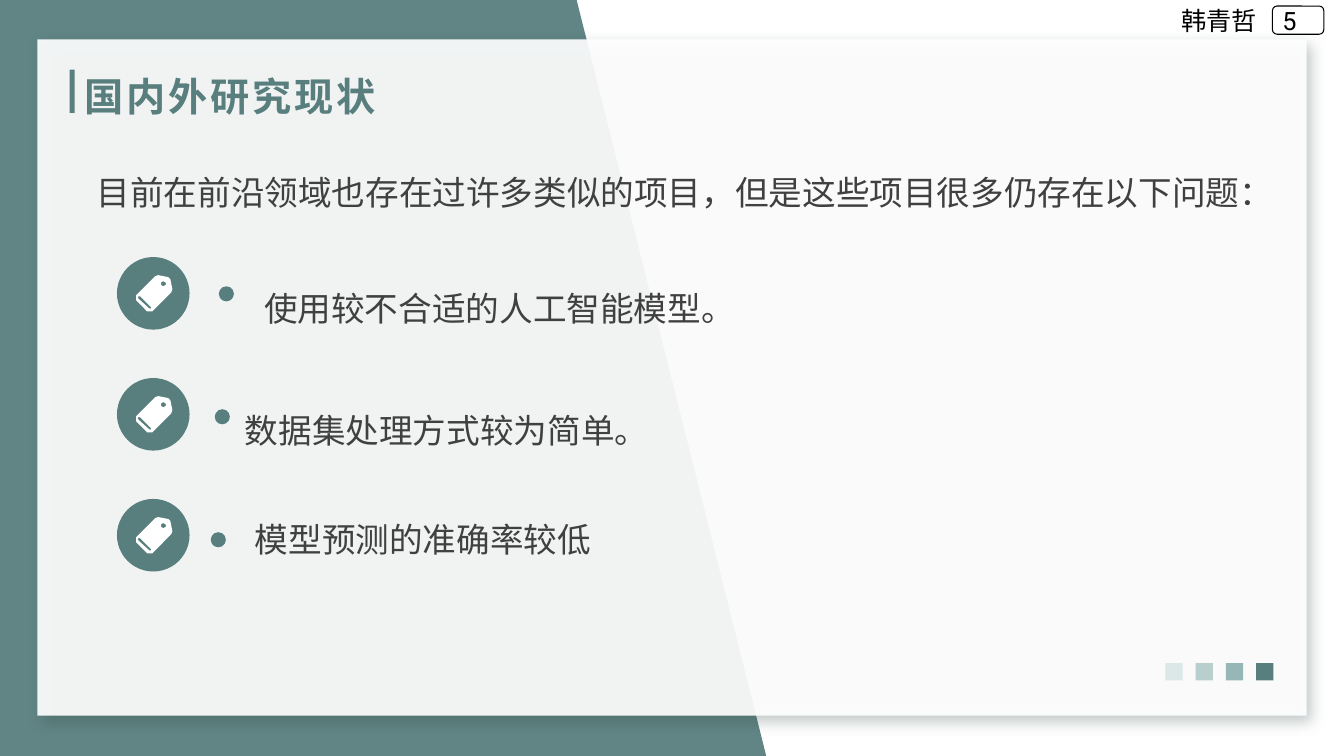
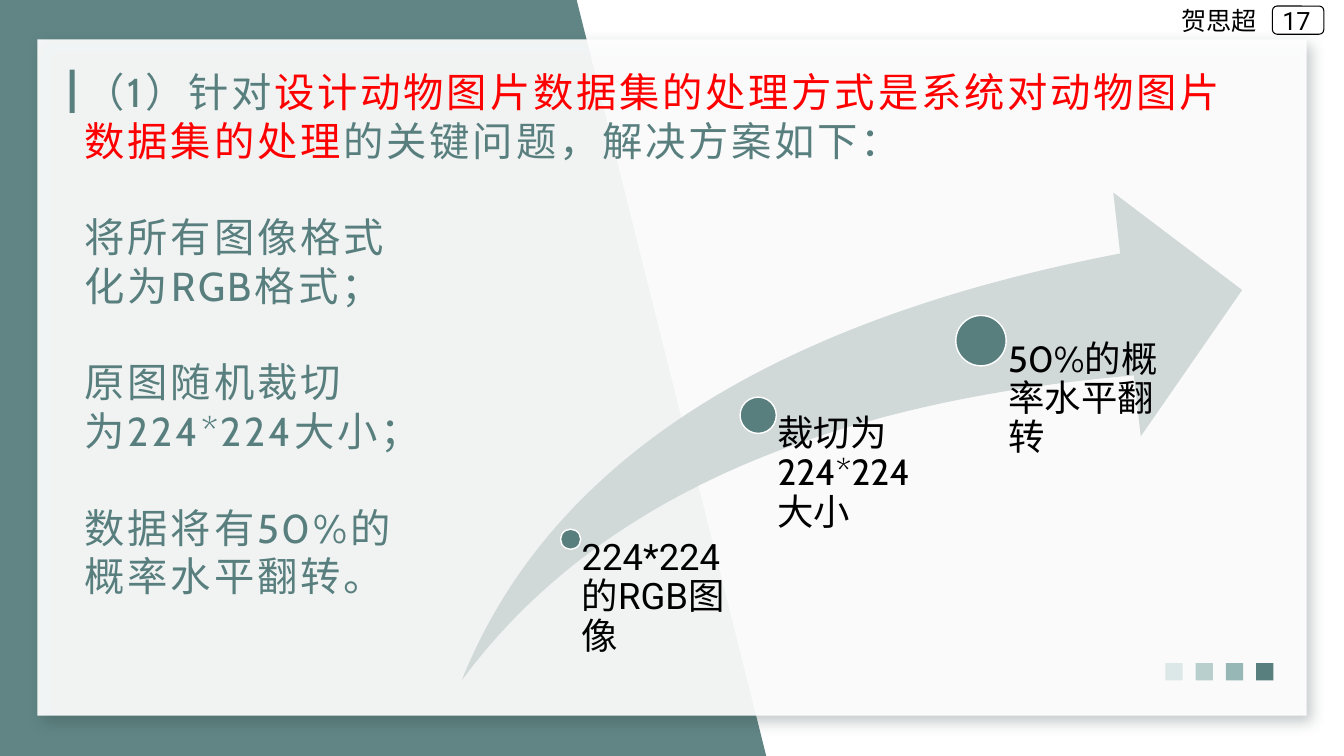
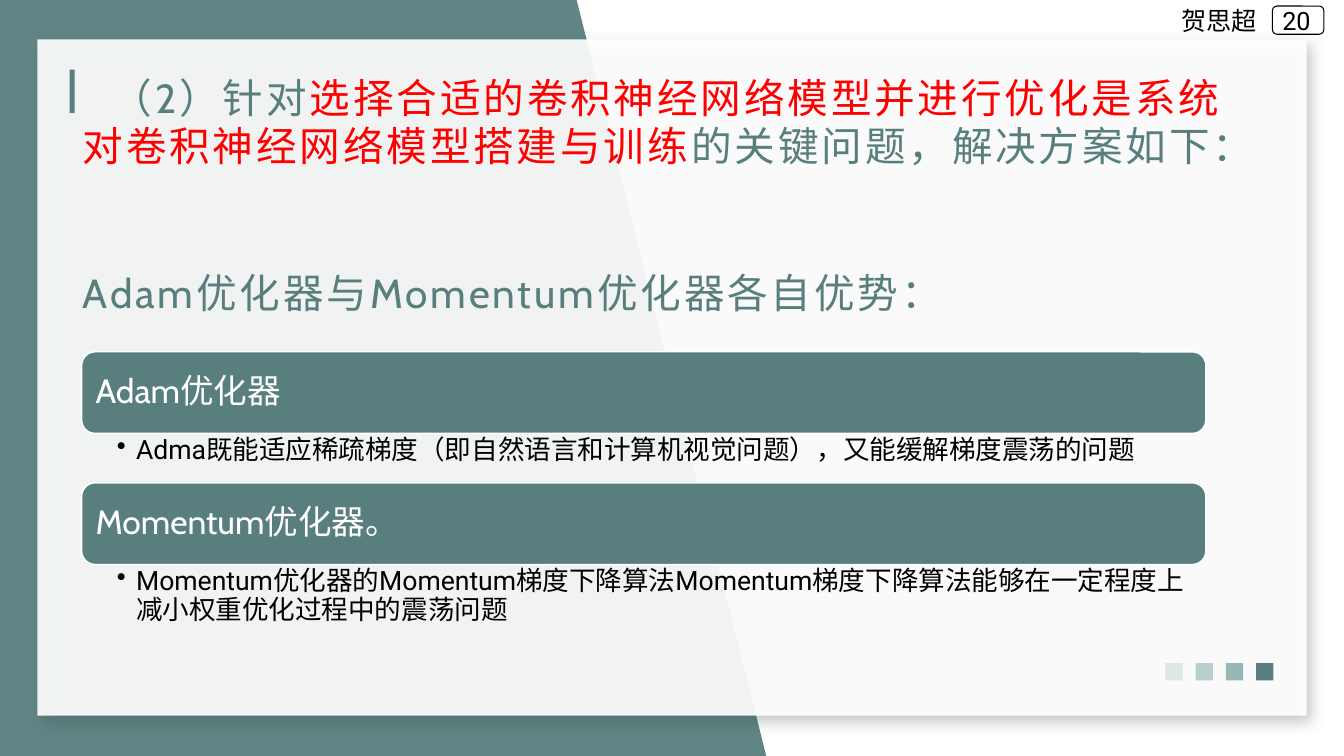
from lxml import etree
from pptx import Presentation
from pptx.dml.color import RGBColor
from pptx.enum.shapes import MSO_SHAPE
from pptx.enum.text import MSO_ANCHOR, MSO_AUTO_SIZE, PP_ALIGN
from pptx.oxml.ns import qn
from pptx.util import Inches, Pt

WIDE, HIGH = 13.33, 7.5
HUES = {
    "teal": "587F7E", "sage": "96B7B6", "mist": "B9CFCE", "pale": "DCE7E7",
    "arrow": "D1D8D8", "shade": "2C403F", "white": "FFFFFF", "black": "000000",
    "red": "FF0000", "ink": "404040",
}
INSET = (0.1, 0.05, 0.1, 0.05)
HEAD = {"name": "Cabin", "size": 28.8, "hue": "teal", "spc": 2}
BODY = {"name": "Lato", "size": 24, "hue": "ink"}
LABEL = {"name": "Roboto", "size": 18, "hue": "black"}
STEP = {"name": "Cabin", "size": 26, "hue": "black"}
BAND = {"name": "Cabin", "size": 24, "hue": "white"}
NOTE = {"name": "Roboto", "size": 19, "hue": "black"}

LEAD = "目前在前沿领域也存在过许多类似的项目，但是这些项目很多仍存在以下问题："
ISSUES = [  # text, box, format
    ("使用较不合适的人工智能模型。", (2.62, 2.74, 9.83, 0.48), {"inset": (0,) * 4, "lead": 1.3}),
    ("数据集处理方式较为简单。", (2.43, 3.95, 9.83, 0.48), {"inset": (0,) * 4, "lead": 1.3}),
    ("模型预测的准确率较低", (2.43, 5.1, 4.23, 0.5), {}),
]
STEPS = [  # text, dot centre, dot size, text width, left inset, font
    ("224*224的RGB图像", (5.66, 5.35), 0.2, 1.8, 0.11, "Roboto"),
    ("裁切为224*224大小", (7.52, 4.12), 0.36, 1.86, 0.19, "Cabin"),
    ("50%的概率水平翻转", (9.73, 3.38), 0.5, 1.86, 0.27, "Cabin"),
]
TOOLS = [
    ("Adam优化器", "Adma既能适应稀疏梯度（即自然语言和计算机视觉问题），又能缓解梯度震荡的问题", 0.49),
    ("Momentum优化器。", "Momentum优化器的Momentum梯度下降算法Momentum梯度下降算法"
     "能够在一定程度上减小权重优化过程中的震荡问题", 0.9),
]
TAG = [  # outline, slot and eye, in hundredths of an inch
    [(37, 14), (35, 4), (33, 2), (23, 0), (20, 1), (1, 20), (1, 25), (12, 36), (17, 36), (36, 17)],
    [(16, 33), (14, 33), (3, 23), (3, 21), (5, 21), (16, 32)],
    [(30, 10), (28, 11), (26, 10), (26, 7), (28, 6), (30, 7), (31, 9)],
]


def rgb(hue):
    return RGBColor.from_string(HUES[hue])


def paint(shape, hue, line=None, alpha=None):
    shape.shadow.inherit = False
    shape.fill.solid()
    shape.fill.fore_color.rgb = rgb(hue)
    if alpha:
        tint = shape.element.spPr.find(qn("a:solidFill"))[0]
        etree.SubElement(tint, qn("a:alpha")).set("val", str(alpha * 1000))
    if line:
        shape.line.color.rgb, shape.line.width = rgb(line[0]), Pt(line[1])
    else:
        shape.line.fill.background()
    return shape


def draw(slide, kind, box, hue, **look):
    return paint(slide.shapes.add_shape(kind, *map(Inches, box)), hue, **look)


def outline(slide, rings, at, hue, **look):
    """Draw closed rings, given in hundredths of an inch, from the point at."""
    pen = slide.shapes.build_freeform(*rings[0][0], scale=Inches(0.01))
    pen.add_line_segments(rings[0][1:], close=True)
    for ring in rings[1:]:
        pen.move_to(*ring[0])
        pen.add_line_segments(ring[1:], close=True)
    return paint(pen.convert_to_shape(*map(Inches, at)), hue, **look)


def style(run, form):
    for key in ("name", "bold"):
        if key in form:
            setattr(run.font, key, form[key])
    run.font.size = Pt(form["size"])
    run.font.color.rgb = rgb(form["hue"])
    if "spc" in form:
        run.font._element.set("spc", str(form["spc"] * 100))


def write(frame, paras, form, inset=INSET, anchor=MSO_ANCHOR.TOP, lead=1.0,
          bullet=False, first=0):
    """Fill a frame; each paragraph is (space before, [(text, changes)])."""
    frame.word_wrap, frame.auto_size = True, MSO_AUTO_SIZE.NONE
    frame.vertical_anchor = anchor
    for side, gap in zip(("left", "top", "right", "bottom"), inset):
        setattr(frame, "margin_" + side, Inches(gap))
    for i, (before, runs) in enumerate(paras):
        para = frame.add_paragraph() if i else frame.paragraphs[0]
        para.alignment, para.line_spacing = PP_ALIGN.LEFT, lead
        para.space_before = Pt(before)
        props = para._p.get_or_add_pPr()
        if bullet:
            props.set("marL", str(Inches(0.19)))
            props.set("indent", str(-Inches(0.19)))
            etree.SubElement(props, qn("a:buChar")).set("char", "•")
        elif first and not i:
            props.set("marL", "0")
            props.set("indent", str(Inches(first)))
        for text, change in runs:
            for j, part in enumerate(text.split("\n")):
                if j:
                    para.add_line_break()
                run = para.add_run()
                run.text = part
                style(run, {**form, **change})


def label(slide, box, text, form, **look):
    frame = slide.shapes.add_textbox(*map(Inches, box)).text_frame
    write(frame, [(0, [(text, {})])], form, **look)


def share(slide, layout):
    """Draw the common backdrop and move it to the layout."""
    for holder in list(layout.placeholders)[1:]:
        layout.shapes.element.remove(holder.element)
    rect = MSO_SHAPE.RECTANGLE
    edge = [(0, 0), (572, 0), (760, HIGH * 100), (0, HIGH * 100)]
    parts = [outline(slide, [edge], (0, 0), "teal", alpha=95)]
    panel = draw(slide, rect, (0.37, 0.39, 12.59, 6.71), "white", alpha=92)
    glow = etree.SubElement(panel.element.spPr.find(qn("a:effectLst")), qn("a:outerShdw"))
    for key, val in {"blurRad": Pt(10), "dist": Pt(6), "dir": 45 * 60000,
                     "algn": "tl", "rotWithShape": 0}.items():
        glow.set(key, str(val))
    tint = etree.SubElement(glow, qn("a:srgbClr"), val=HUES["shade"])
    etree.SubElement(tint, qn("a:alpha"), val="30000")
    parts.append(panel)
    for i, hue in enumerate(("pale", "mist", "sage", "teal")):
        parts.append(draw(slide, rect, (11.56 + 0.3 * i, 6.58, 0.17, 0.17), hue))
    parts.append(draw(slide, rect, (0.69, 0.69, 0.05, 0.43), "teal"))
    parts.append(draw(slide, MSO_SHAPE.ROUNDED_RECTANGLE, (12.62, 0.06, 0.51, 0.28),
                      "white", line=("black", 0.75)))
    for part in parts:
        layout.shapes.element.append(part.element)


def start(deck, name, page, box, paras, **look):
    """Add a slide with its title, speaker and page number."""
    layout = deck.slide_layouts[5]
    slide = deck.slides.add_slide(layout)
    if len(deck.slides) == 1:
        share(slide, layout)
    title = slide.shapes.title
    title.left, title.top, title.width, title.height = map(Inches, box)
    write(title.text_frame, paras, HEAD, **look)
    label(slide, (11.62, 0, 1.27, 0.4), name, LABEL)
    label(slide, (12.62, 0, 0.51, 0.4), page, LABEL)
    return slide


def status(deck):
    slide = start(deck, "韩青哲", "5", (0.74, 0.71, 5.26, 0.48),
                  [(0, [("国内外研究现状", {"size": 28, "bold": True})])],
                  anchor=MSO_ANCHOR.MIDDLE)
    label(slide, (0.86, 1.66, 11.62, 0.81), LEAD, BODY)
    for i, (text, box, look) in enumerate(ISSUES):
        top = 2.55 + 1.2 * i
        draw(slide, MSO_SHAPE.OVAL, (1.16, top, 0.72, 0.72), "teal")
        outline(slide, TAG, (1.34, top + 0.18), "white")
        draw(slide, MSO_SHAPE.OVAL, (2.17 - 0.04 * i, 2.84 + 1.22 * i, 0.15, 0.15), "teal")
        label(slide, box, text, BODY, **look)


def process(deck):
    red = {"hue": "red"}
    slide = start(deck, "贺思超", "17", (0.74, 0.62, 11.78, 6.04), [
        (0, [("（1）针对", {}),
             ("设计动物图片数据集的处理方式是系统对动物图片数据集的处理", red),
             ("的关键问题，解决方案如下：", {})]),
        (34.5, [("将所有图像格式\n化为RGB格式；", {})]),
        (34.5, [("原图随机裁切\n为224*224大小；", {})]),
        (34.5, [("数据将有50%的\n概率水平翻转。", {})]),
    ])
    arrow = draw(slide, MSO_SHAPE.SWOOSH_ARROW, (4.58, 1.91, 7.74, 4.84), "arrow")
    arrow.adjustments[0] = arrow.adjustments[1] = 0.25
    for text, (x, y), size, wide, gap, font in STEPS:
        draw(slide, MSO_SHAPE.OVAL, (x - size / 2, y - size / 2, size, size), "teal",
             line=("white", 1))
        label(slide, (x, y, wide, 6.75 - y), text, {**STEP, "name": font},
              inset=(gap, 0, 0, 0), lead=0.9)


def compare(deck):
    big = {"size": 29}
    slide = start(deck, "贺思超", "20", (0.72, 0.67, 11.78, 6.04), [
        (0, [("（2）针对", big),
             ("选择合适的卷积神经网络模型并进行优化是系统对卷积神经网络模型搭建与训练",
              {**big, "hue": "red"}),
             ("的关键问题，解决方案如下：", big)]),
        (70, [("Adam优化器与Momentum优化器各自优势：", big)]),
    ], first=0.29)
    left, top, wide, high = 0.81, 3.49, 11.15, 0.81
    for name, note, deep in TOOLS:
        draw(slide, MSO_SHAPE.ROUNDED_RECTANGLE, (left, top, wide, high), "teal",
             line=("white", 1))
        label(slide, (left + 0.04, top + 0.04, wide - 0.08, high - 0.08), name, BAND,
              inset=(0.1,) * 4, anchor=MSO_ANCHOR.MIDDLE, lead=0.9)
        label(slide, (left, top + high, wide, deep), note, NOTE,
              inset=(0.35, 0.03, 0.19, 0.03), lead=0.9, bullet=True)
        top += high + deep


def main():
    deck = Presentation()
    deck.slide_width, deck.slide_height = Inches(WIDE), Inches(HIGH)
    for build in (status, process, compare):
        build(deck)
    deck.save("out.pptx")


if __name__ == "__main__":
    main()
